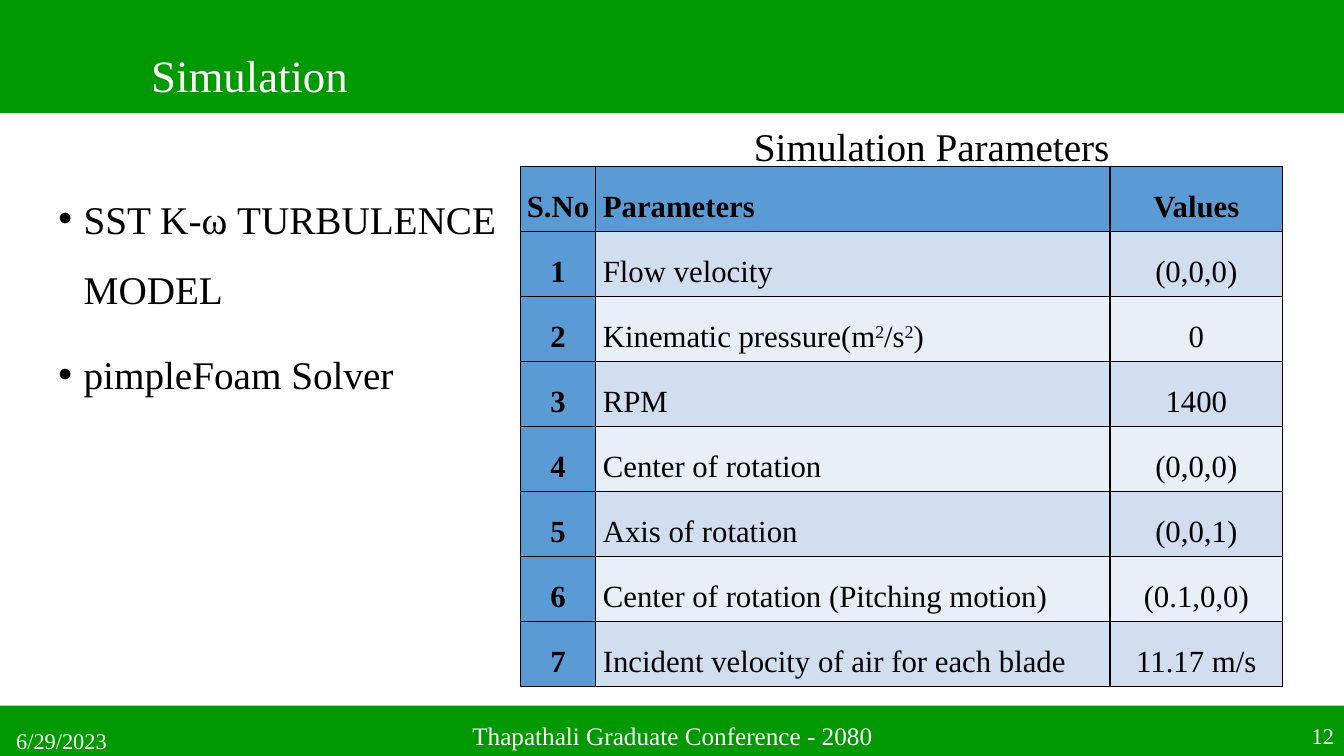
from lxml import etree
from pptx import Presentation, oxml
from pptx.dml.color import RGBColor
from pptx.enum import shapes, text
from pptx.oxml import ns
from pptx.util import Inches, Pt

GREEN, BLUE, BLACK, WHITE = "009900", "5B9BD5", "000000", "FFFFFF"
BANDS = ["D0DEEF", "E9EFF7"]
LEFT, CENTER, RIGHT = text.PP_ALIGN.LEFT, text.PP_ALIGN.CENTER, text.PP_ALIGN.RIGHT


def color(hex_string):
    return RGBColor.from_string(hex_string)


def add_run(para, words, size, ink=BLACK, bold=False):
    span = para.add_run()
    span.text = words
    span.font.name = "Times New Roman"
    span.font.size = Pt(size)
    span.font.bold = bold
    span.font.color.rgb = color(ink)
    return span


deck = Presentation()
deck.slide_width, deck.slide_height = Inches(13.33), Inches(7.5)
page = deck.slides.add_slide(deck.slide_layouts[1])

# Green bands at the top and bottom
for top, height in [(0, 1.12), (7, 0.5)]:
    band = page.shapes.add_shape(
        shapes.MSO_SHAPE.RECTANGLE, 0, Inches(top), deck.slide_width, Inches(height))
    band.shadow.inherit = False
    band.fill.solid()
    band.fill.fore_color.rgb = color(GREEN)
    band.line.fill.background()
    # Bands lie behind the placeholders
    page.shapes._spTree.insert(2, band._element)

# Title
title = page.shapes.title
title.left, title.top = Inches(1.4), Inches(0.53)
title.width, title.height = Inches(7.82), Inches(0.54)
title.text_frame.auto_size = text.MSO_AUTO_SIZE.NONE
title.text_frame.vertical_anchor = text.MSO_ANCHOR.TOP
para = title.text_frame.paragraphs[0]
para.alignment = LEFT
para.line_spacing = 0.8
add_run(para, "Simulation", 32, WHITE)

# Bullet list
body = page.placeholders[1]
body.left, body.top = Inches(0.48), Inches(1.65)
body.width, body.height = Inches(4.56), Inches(4.76)
body.text_frame.auto_size = text.MSO_AUTO_SIZE.NONE
for index, words in enumerate(["SST K-ω TURBULENCE MODEL", "pimpleFoam Solver"]):
    para = body.text_frame.paragraphs[0] if index == 0 else body.text_frame.add_paragraph()
    para.line_spacing = 1.5
    para.space_before = Pt(10 * index)
    props = para._p.get_or_add_pPr()
    props.set("marL", str(Inches(0.25)))
    props.set("indent", str(-Inches(0.25)))
    etree.SubElement(props, ns.qn("a:buChar")).set("char", "•")
    add_run(para, words, 28)

# Parameter table: header row first; "^" marks the start and end of a superscript
rows = [
    ("S.No", "Parameters", "Values"),
    ("1", "Flow velocity", "(0,0,0)"),
    ("2", "Kinematic pressure(m^2^/s^2^)", "0"),
    ("3", "RPM", "1400"),
    ("4", "Center of rotation", "(0,0,0)"),
    ("5", "Axis of rotation", "(0,0,1)"),
    ("6", "Center of rotation (Pitching motion)", "(0.1,0,0)"),
    ("7", "Incident velocity of air for each blade", "11.17 m/s"),
]
widths = [0.75, 5.1, 1.71]
row_height = 0.645
table = page.shapes.add_table(
    len(rows), len(widths), Inches(5.16), Inches(1.65),
    Inches(sum(widths)), Inches(row_height * len(rows))).table
for column, width in zip(table.columns, widths):
    column.width = Inches(width)
for r, row in enumerate(rows):
    table.rows[r].height = Inches(row_height)
    for c, words in enumerate(row):
        cell = table.cell(r, c)
        heading = r == 0 or c == 0
        cell.vertical_anchor = text.MSO_ANCHOR.MIDDLE
        cell.margin_left = cell.margin_right = Inches(0.01 if c == 0 else 0.07)
        cell.margin_top = cell.margin_bottom = Inches(0.01 if c == 0 else 0.06)
        for side in "LRTB":
            cell._tc.get_or_add_tcPr().append(oxml.parse_xml(
                f'<a:ln{side} {ns.nsdecls("a")} w="12700"><a:solidFill>'
                f'<a:srgbClr val="{BLACK}"/></a:solidFill></a:ln{side}>'))
        cell.fill.solid()
        cell.fill.fore_color.rgb = color(BLUE if heading else BANDS[(r - 1) % 2])
        para = cell.text_frame.paragraphs[0]
        para.alignment = LEFT if c == 1 else CENTER
        para.line_spacing = 1.5
        for index, part in enumerate(words.split("^")):
            span = add_run(para, part, 22, bold=heading)
            if index % 2:
                span._r.get_or_add_rPr().set("baseline", "30000")

# Table caption and footer
labels = [
    ("Simulation Parameters", 7.38, 1.16, 3.76, 0.57, LEFT, 28, BLACK),
    ("6/29/2023", 0, 7.15, 1.22, 0.4, CENTER, 16, WHITE),
    ("Thapathali Graduate Conference - 2080", 0.06, 7.1, 13.22, 0.4, CENTER, 18, WHITE),
    ("12", 10.33, 7.1, 3, 0.4, RIGHT, 16, WHITE),
]
for words, left, top, width, height, align, size, ink in labels:
    box = page.shapes.add_textbox(Inches(left), Inches(top), Inches(width), Inches(height))
    box.text_frame.word_wrap = True
    box.text_frame.vertical_anchor = text.MSO_ANCHOR.MIDDLE
    para = box.text_frame.paragraphs[0]
    para.alignment = align
    add_run(para, words, size, ink)

deck.save("out.pptx")
